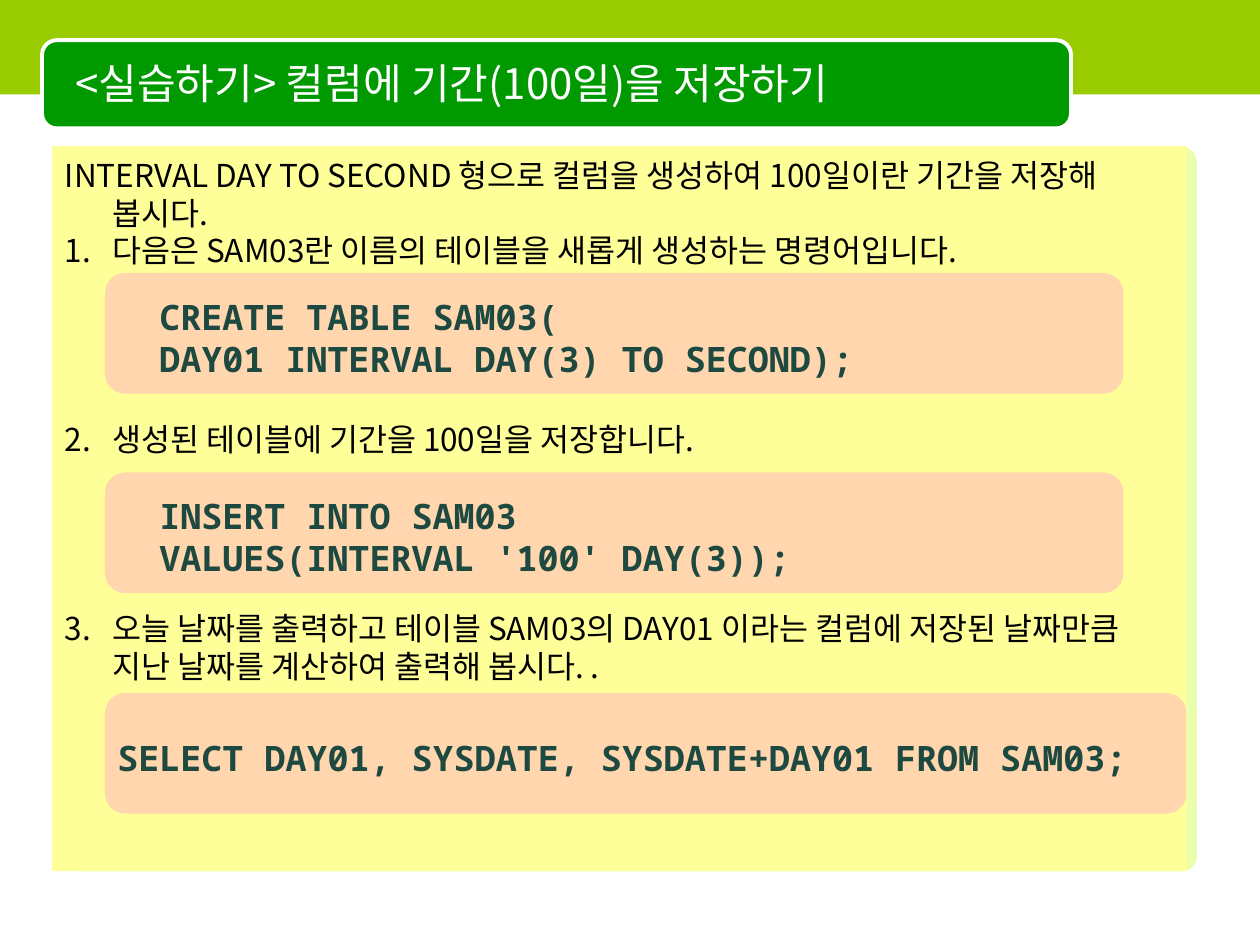
"""Build the practice slide on storing a 100-day interval in a column."""
from pptx import Presentation
from pptx.dml.color import RGBColor as Rgb
from pptx.enum.shapes import MSO_SHAPE as Kind
from pptx.enum.text import MSO_ANCHOR as Anchor, PP_ALIGN as Align
from pptx.oxml.ns import qn
from pptx.util import Pt
from lxml.etree import SubElement as Sub

HEX = {"lime": "99CC00", "green": "009900", "white": "FFFFFF", "mint": "CCFF33",
       "cream": "FFFF99", "pink": "FF99CC", "ink": "1D4940", "black": "000000"}
SANS, MONO = "Noto Sans CJK KR", "Noto Sans Mono"

TITLE = "<실습하기> 컬럼에 기간(100일)을 저장하기"
INTRO = "INTERVAL DAY TO SECOND 형으로 컬럼을 생성하여 100일이란 기간을 저장해 봅시다."
STEPS = ["다음은 SAM03란 이름의 테이블을 새롭게 생성하는 명령어입니다.",
         "생성된 테이블에 기간을 100일을 저장합니다.",
         "오늘 날짜를 출력하고 테이블 SAM03의 DAY01 이라는 컬럼에 저장된 날짜만큼 "
         "지난 날짜를 계산하여 출력해 봅시다. ."]
CODES = [
    (156, 582, 84, 534, ["CREATE TABLE SAM03(", "DAY01 INTERVAL DAY(3) TO SECOND);"]),
    (270, 582, 84, 534, ["INSERT INTO SAM03", "VALUES(INTERVAL '100' DAY(3));"]),
    (396, 618, 60, 660, ["SELECT DAY01, SYSDATE, SYSDATE+DAY01 FROM SAM03;"]),
]
LEFT, HIGH, LEAD, HANG, GAP = 60, 69, 1.2, 27, 4
PLATES = {
    "shade": (Kind.ROUNDED_RECTANGLE, (36, 84, 648, 414), "mint", 40, None, 0.021),
    "band": (Kind.RECTANGLE, (0, 0, 720, 54), "lime", 100, None, None),
    "head": (Kind.ROUNDED_RECTANGLE, (24, 23, 588, 50.4), "green", 100, ("white", 2.25), 0.167),
    "body": (Kind.RECTANGLE, (30, 84, 648, 413.5), "cream", 100, ("cream", 0.75), None),
}


def plate(slide, kind, box, fill, alpha=100, line=None, bend=None):
    shape = slide.shapes.add_shape(kind, *map(Pt, box))
    shape.shadow.inherit = False
    shape.fill.solid()
    shape.fill.fore_color.rgb = Rgb.from_string(HEX[fill])
    if alpha < 100:
        color = shape._element.spPr.find(qn("a:solidFill"))[0]
        Sub(color, qn("a:alpha"), val=str(alpha * 1000))
    if line:
        shape.line.color.rgb = Rgb.from_string(HEX[line[0]])
        shape.line.width = Pt(line[1])
    else:
        shape.line.fill.background()
    if bend:
        shape.adjustments[0] = bend
    return shape


def write(shape, lines, face, size, color, lead=None, top=3.6, anchor=Anchor.TOP, bold=False):
    frame = shape.text_frame
    form = {"word_wrap": True, "vertical_anchor": anchor, "margin_top": Pt(top),
            "margin_left": Pt(7.2), "margin_right": Pt(7.2), "margin_bottom": Pt(3.6)}
    for name, value in form.items():
        setattr(frame, name, value)
    for i, text in enumerate(lines):
        para = frame.add_paragraph() if i else frame.paragraphs[0]
        para.alignment = Align.LEFT
        if lead:
            para.line_spacing = Pt(lead)
        run = para.add_run()
        run.text = text
        for name, value in {"name": face, "size": Pt(size), "bold": bold}.items():
            setattr(run.font, name, value)
        run.font.color.rgb = Rgb.from_string(HEX[color])
        Sub(run.font._element, qn("a:ea"), typeface=face)
    return frame.paragraphs


def number(paras, size):
    for i, para in enumerate(paras):
        props = para._p.get_or_add_pPr()
        props.set("marL", str(Pt(HANG)))
        props.set("indent", str(-Pt(HANG)))
        para.space_before = Pt(GAP * size * LEAD if i > 1 else 0)
        if i:
            Sub(props, qn("a:buFont"), typeface=SANS)
            Sub(props, qn("a:buAutoNum"), type="arabicPeriod", startAt=str(i))


def main():
    deck = Presentation()
    deck.slide_width, deck.slide_height = Pt(720), Pt(540)
    slide = deck.slides.add_slide(deck.slide_layouts[6])
    made = {name: plate(slide, *row) for name, row in PLATES.items()}

    title = slide.shapes.add_textbox(*map(Pt, (36, 25.2, 570, 44.6)))
    write(title, [TITLE], SANS, 24, "white", anchor=Anchor.MIDDLE)
    number(write(made["body"], [INTRO, *STEPS], SANS, 18, "black", 18 * LEAD, 5), 18)

    for top, wide, left, span, lines in CODES:
        plate(slide, Kind.ROUNDED_RECTANGLE, (LEFT, top, wide, HIGH), "pink", 40, bend=0.167)
        tall = 7.2 + 20 * LEAD * len(lines)
        mid = top + (HIGH - tall) / 2
        box = slide.shapes.add_textbox(*map(Pt, (left, mid, span, tall)))
        write(box, lines, MONO, 20, "ink", 20 * LEAD, 5.9, bold=True)
    deck.save("out.pptx")


if __name__ == "__main__":
    main()
